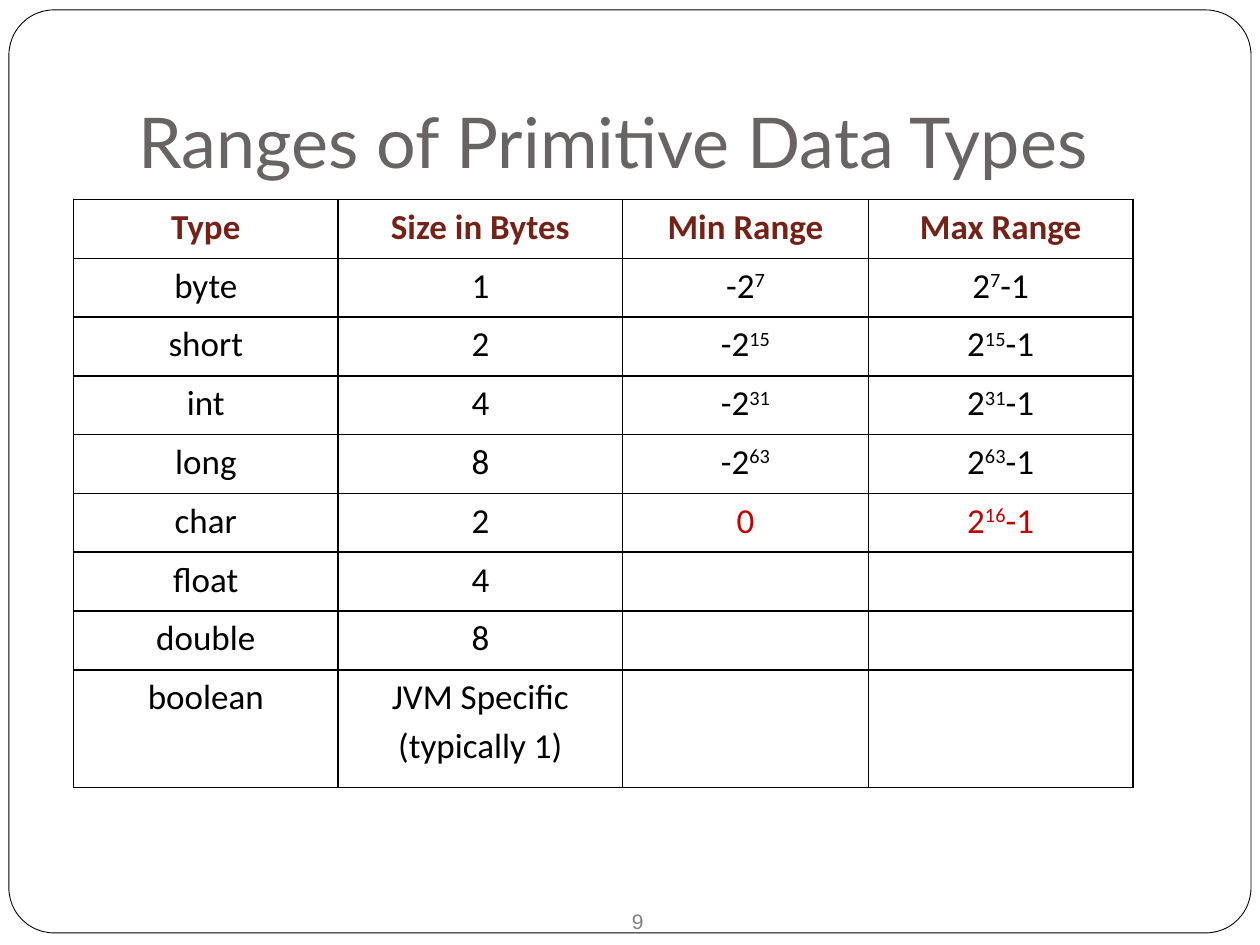
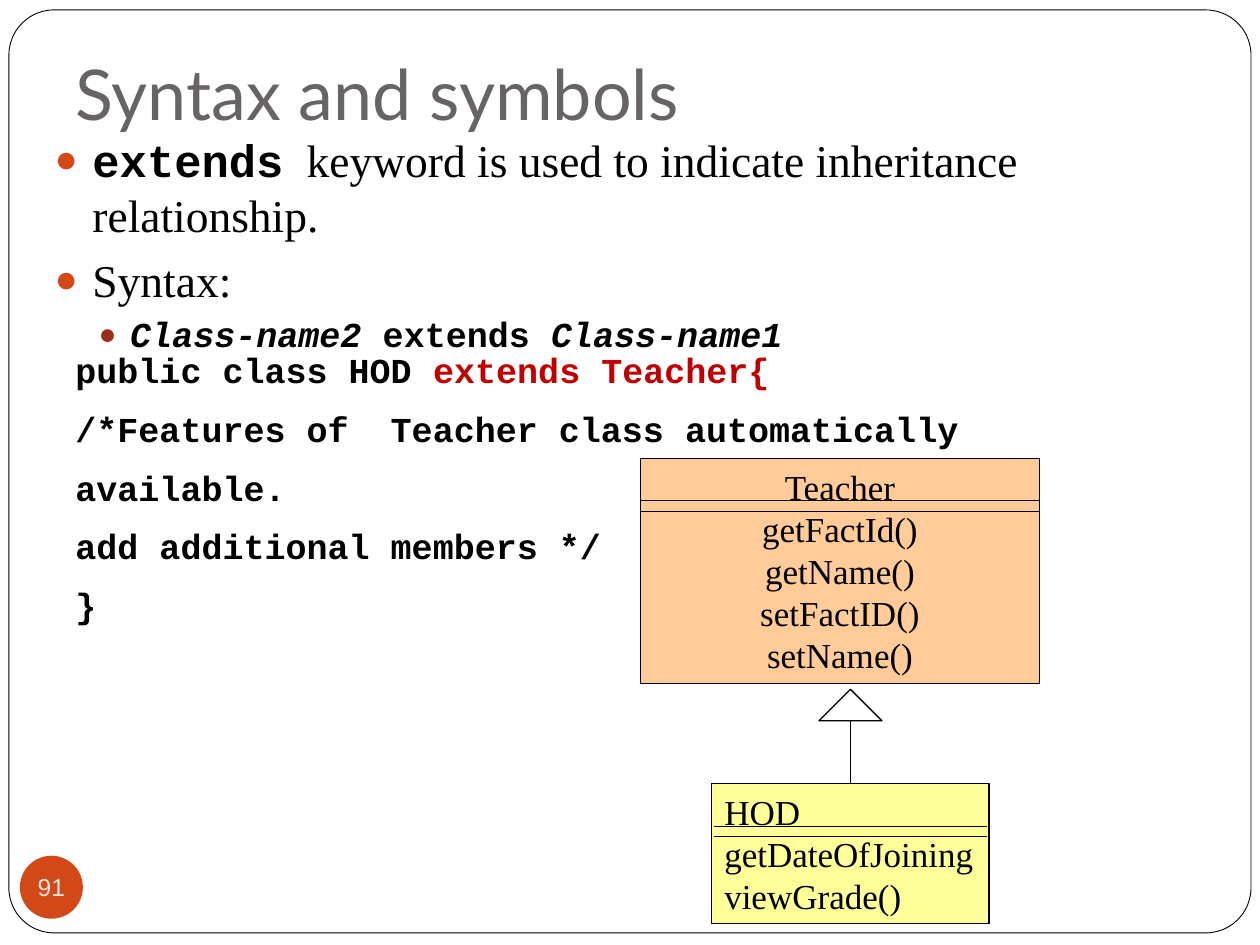
from lxml.etree import SubElement
from pptx import Presentation
from pptx.dml.color import RGBColor
from pptx.enum.shapes import MSO_CONNECTOR, MSO_SHAPE
from pptx.enum.text import MSO_ANCHOR, MSO_AUTO_SIZE, PP_ALIGN
from pptx.oxml.ns import qn
from pptx.util import Inches, Pt

# Shared look
BLACK, RED, ORANGE = "000000", "C00000", "D34817"
TITLE_GREY, HEADER_BROWN, RUST = "696464", "742217", "9B2D1F"
SANS, SERIF, MONO = "Arial", "Times New Roman", "Courier New"

presentation = Presentation()
presentation.slide_width, presentation.slide_height = Inches(10), Inches(7.5)
# The slide is a grid of 120 columns and 90 rows of equal square cells
CELL = presentation.slide_width // 120


def color(hex_value):
    return RGBColor.from_string(hex_value)


def write(paragraph, text, name, size, hex_value, bold=None, italic=None):
    """Add text in one style; parts between carets are superscript."""
    for index, piece in enumerate(text.split("^")):
        if piece:
            run = paragraph.add_run()
            run.text = piece
            font = run.font
            font.name, font.size = name, Pt(size)
            font.bold, font.italic = bold, italic
            font.color.rgb = color(hex_value)
            if index % 2:
                run._r.get_or_add_rPr().set("baseline", "30000")


# Slides and their titles
slides = []
for title, layout_index, left, top, width in (
    ("Ranges of Primitive Data Types", 5, 12, 3.6, 102),
    ("Syntax and symbols", 1, 6, -1, 108),
):
    slide = presentation.slides.add_slide(presentation.slide_layouts[layout_index])
    shape = slide.shapes.title
    shape.left, shape.top, shape.width, shape.height = (
        int(n * CELL) for n in (left, top, width, 15))
    text_frame = shape.text_frame
    text_frame.auto_size = MSO_AUTO_SIZE.NONE
    text_frame.vertical_anchor = MSO_ANCHOR.BOTTOM
    text_frame.margin_bottom = Inches(0.1)
    text_frame.paragraphs[0].alignment = PP_ALIGN.LEFT
    write(text_frame.paragraphs[0], title, "Lato", 40, TITLE_GREY)
    slides.append(slide)
ranges_slide, syntax_slide = slides

# Rounded frame, moved to the master so that both slides show it
frame = ranges_slide.shapes.add_shape(
    MSO_SHAPE.ROUNDED_RECTANGLE, *(int(n * CELL) for n in (0.85, 0.95, 118.3, 87.9)))
frame.adjustments[0] = 0.049
frame.shadow.inherit = False
frame.fill.solid()
frame.fill.fore_color.rgb = color("FFFFFF")
frame.line.color.rgb = color(BLACK)
frame.line.width = Pt(0.5)
presentation.slide_master.shapes[0]._element.addprevious(frame._element)

# Table of primitive types
rows = [("Type", "Size in Bytes", "Min Range", "Max Range")]
for type_name, size, bits in (("byte", 1, 7), ("short", 2, 15), ("int", 4, 31), ("long", 8, 63)):
    rows.append((type_name, str(size), f"-2^{bits}^", f"2^{bits}^-1"))
rows += [
    ("char", "2", "0", "2^16^-1"),
    ("float", "4", "", ""),
    ("double", "8", "", ""),
    ("boolean", "JVM Specific (typically 1)", "", ""),
]
column_widths = (25.2, 27.1, 23.4, 25.2)
table = ranges_slide.shapes.add_table(
    len(rows), len(column_widths),
    *(int(n * CELL) for n in (7, 19, sum(column_widths), 56))).table
table.first_row = table.horz_banding = False
for column, width in zip(table.columns, column_widths):
    column.width = int(width * CELL)
for row_index, row in enumerate(rows):
    is_last = row_index == len(rows) - 1
    table.rows[row_index].height = int((11.2 if is_last else 5.6) * CELL)
    for column_index, text in enumerate(row):
        cell = table.cell(row_index, column_index)
        cell.margin_left = cell.margin_right = Inches(0.07)
        cell.margin_top = cell.margin_bottom = 0
        cell_properties = cell._tc.get_or_add_tcPr()
        for side in ("a:lnL", "a:lnR", "a:lnT", "a:lnB"):
            border = SubElement(cell_properties, qn(side), w=str(Pt(1)))
            SubElement(SubElement(border, qn("a:solidFill")), qn("a:srgbClr"), val=BLACK)
        cell.fill.background()
        paragraph = cell.text_frame.paragraphs[0]
        paragraph.alignment = PP_ALIGN.CENTER
        paragraph.line_spacing = 1.15
        is_header = row_index == 0
        is_unsigned = row[0] == "char" and column_index > 1
        hex_value = HEADER_BROWN if is_header else RED if is_unsigned else BLACK
        write(paragraph, text, "Calibri", 20, hex_value, bold=is_header)

# Page number of the table slide
page_number = ranges_slide.shapes.add_textbox(*(int(n * CELL) for n in (59, 85.9, 11, 4)))
write(page_number.text_frame.paragraphs[0], "9", SANS, 12, "808080")

# Page badge of the syntax slide
badge = syntax_slide.shapes.add_shape(
    MSO_SHAPE.OVAL, *(int(n * CELL) for n in (1.9, 81.5, 6, 6)))
badge.shadow.inherit = False
badge.fill.solid()
badge.fill.fore_color.rgb = color(ORANGE)
badge.line.fill.background()
text_frame = badge.text_frame
text_frame.word_wrap = False
text_frame.margin_left = text_frame.margin_right = 0
text_frame.margin_top = text_frame.margin_bottom = 0
text_frame.paragraphs[0].alignment = PP_ALIGN.CENTER
write(text_frame.paragraphs[0], "91", SANS, 14, "E9E5DC")

# Bulleted list: level, space before, runs
bullets = (
    (0, 0, (("extends", MONO, 26, BLACK, True),
            ("  keyword is used to indicate inheritance relationship.", SERIF, 26, BLACK))),
    (0, 5.8, (("Syntax:", SERIF, 26, BLACK),)),
    (1, 3.7, (("Class-name2", MONO, 20, BLACK, True, True),
              (" extends ", MONO, 20, BLACK, True),
              ("Class-name1", MONO, 20, BLACK, True, True))),
)
body = syntax_slide.placeholders[1]
body.left, body.top, body.width, body.height = (int(n * CELL) for n in (4, 12, 112, 18))
body.text_frame.auto_size = MSO_AUTO_SIZE.NONE
for index, (level, space_before, runs) in enumerate(bullets):
    paragraph = body.text_frame.add_paragraph() if index else body.text_frame.paragraphs[0]
    paragraph.level = level
    properties = paragraph._p.get_or_add_pPr()
    properties.set("marL", str(Inches(0.6 if level else 0.3)))
    properties.set("indent", str(Inches(-0.25 if level else -0.3)))
    bullet_color = SubElement(properties, qn("a:buClr"))
    SubElement(bullet_color, qn("a:srgbClr"), val=RUST if level else ORANGE)
    SubElement(properties, qn("a:buSzPct"), val="85000")
    SubElement(properties, qn("a:buChar"), char="●")
    paragraph.space_before = Pt(space_before)
    for run in runs:
        write(paragraph, *run)

# Class boxes: place, fill, alignment, wrapping, lines
class_boxes = []
for place, fill, alignment, wraps, lines in (
    ((61, 43.7, 38, 21.4), "FFCC99", PP_ALIGN.CENTER, True,
     ("Teacher", "getFactId()", "getName()", "setFactID()", "setName()")),
    ((67.8, 74.65, 26.4, 13.3), "FFFF99", PP_ALIGN.LEFT, False,
     ("HOD", "getDateOfJoining", "viewGrade()")),
):
    shape = syntax_slide.shapes.add_shape(MSO_SHAPE.RECTANGLE, *(int(n * CELL) for n in place))
    shape.shadow.inherit = False
    shape.fill.solid()
    shape.fill.fore_color.rgb = color(fill)
    shape.line.color.rgb = color(BLACK)
    shape.line.width = Pt(0.75)
    text_frame = shape.text_frame
    text_frame.word_wrap = wraps
    text_frame.vertical_anchor = MSO_ANCHOR.TOP
    for index, line in enumerate(lines):
        paragraph = text_frame.add_paragraph() if index else text_frame.paragraphs[0]
        paragraph.alignment = alignment
        write(paragraph, line, SERIF, 20, BLACK)
    class_boxes.append(shape)

# Code sample
code_lines = (
    (("public class HOD", BLACK), (" extends Teacher{", RED)),
    (("/*Features of  Teacher class automatically available.", BLACK),),
    (("add additional members */", BLACK),),
    (("}", BLACK),),
)
code = syntax_slide.shapes.add_textbox(*(int(n * CELL) for n in (6, 31, 104, 29)))
code.text_frame.word_wrap = True
for index, runs in enumerate(code_lines):
    paragraph = code.text_frame.add_paragraph() if index else code.text_frame.paragraphs[0]
    paragraph.line_spacing = 1.4
    for text, hex_value in runs:
        write(paragraph, text, MONO, 20, hex_value, bold=True)

# Inheritance arrowhead
arrowhead = syntax_slide.shapes.add_shape(
    MSO_SHAPE.ISOSCELES_TRIANGLE, *(int(n * CELL) for n in (78, 65.65, 6, 3)))
arrowhead.shadow.inherit = False
arrowhead.fill.background()
arrowhead.line.color.rgb = color(BLACK)
arrowhead.line.width = Pt(0.75)

# Inheritance stem, then the double rules under the class names
connectors = []
for ends in (
    (81, 68.65, 81, 74.65),
    (61, 47.65, 99, 47.65), (61, 48.7, 99, 48.7),
    (68, 78.7, 94, 78.7), (68, 79.7, 94, 79.7),
):
    connector = syntax_slide.shapes.add_connector(
        MSO_CONNECTOR.STRAIGHT, *(int(n * CELL) for n in ends))
    connector.line.color.rgb = color(BLACK)
    connector.line.width = Pt(0.75)
    SubElement(connector._element.spPr, qn("a:effectLst"))
    connectors.append(connector)
connectors[0].end_connect(class_boxes[1], 0)

presentation.save("out.pptx")
